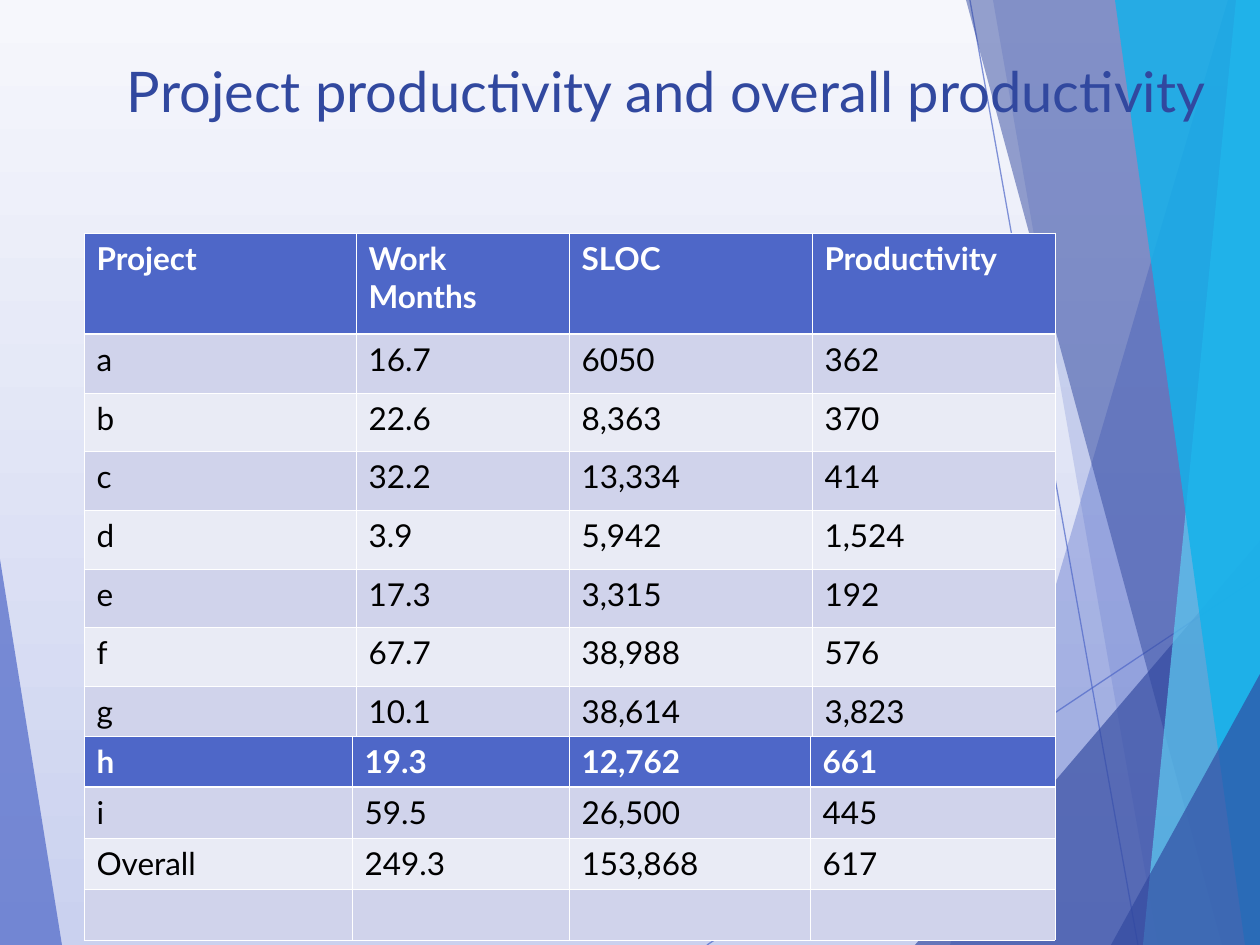
from dataclasses import dataclass

from pptx import Presentation
from pptx.dml.color import RGBColor
from pptx.enum.shapes import MSO_CONNECTOR
from pptx.enum.text import MSO_ANCHOR, MSO_AUTO_SIZE, PP_ALIGN
from pptx.oxml.ns import qn
from pptx.oxml.xmlchemy import OxmlElement
from pptx.util import Pt

SCALE = 914400 / 126
WIDTH, HEIGHT = 1260, 945


@dataclass(frozen=True)
class Theme:
    font: str = "Lato"
    title_size: int = 32
    table_size: int = 18
    blue: str = "4E67C8"
    navy: str = "31489F"
    sky: str = "5ECCF3"
    cyan: str = "12B2EB"
    white: str = "FFFFFF"
    black: str = "000000"
    bands: tuple = ("D0D3EB", "E9EBF5")
    backdrop: tuple = ("F6F7FC", "CAD1EF")
    thin: float = 0.45
    thick: float = 1.47
    ray: float = 0.75


THEME = Theme()

FACETS = [
    ([(0, 559), (62, HEIGHT), (0, HEIGHT)], THEME.blue, 70),
    ([(1228, 0), (950, HEIGHT), (WIDTH, HEIGHT), (WIDTH, 0)], THEME.blue, 36),
    ([(993, 0), (1158, HEIGHT), (WIDTH, HEIGHT), (WIDTH, 0)], THEME.blue, 20),
    ([(915, HEIGHT), (WIDTH, 541), (WIDTH, HEIGHT)], THEME.navy, 66),
    ([(966, 0), (1222, HEIGHT), (WIDTH, HEIGHT), (WIDTH, 0)], THEME.navy, 50),
    ([(1236, 0), (1143, HEIGHT), (WIDTH, HEIGHT), (WIDTH, 0)], THEME.sky, 70),
    ([(1115, 0), (1245, HEIGHT), (WIDTH, HEIGHT), (WIDTH, 0)], THEME.cyan, 82),
    ([(1111, HEIGHT), (WIDTH, 674), (WIDTH, HEIGHT)], THEME.navy, 66),
]
RAYS = [(707, HEIGHT, WIDTH, 576), (970, 0, 1138, HEIGHT)]

PROJECTS = [
    ("Project", "Work Months", "SLOC", "Productivity"),
    ("a", "16.7", "6050", "362"),
    ("b", "22.6", "8,363", "370"),
    ("c", "32.2", "13,334", "414"),
    ("d", "3.9", "5,942", "1,524"),
    ("e", "17.3", "3,315", "192"),
    ("f", "67.7", "38,988", "576"),
    ("g", "10.1", "38,614", "3,823"),
]
TOTALS = [
    ("h", "19.3", "12,762", "661"),
    ("i", "59.5", "26,500", "445"),
    ("Overall", "249.3", "153,868", "617"),
    ("", "", "", ""),
]


def px(length):
    return round(length * SCALE)


def rgb(value):
    return RGBColor.from_string(value)


def set_format(target, values):
    for name, value in values.items():
        setattr(target, name, value)


def write(paragraph, text, size, color, bold=False):
    span = paragraph.add_run()
    span.text = text
    set_format(span.font, {"name": THEME.font, "size": Pt(size), "bold": bold})
    span.font.color.rgb = rgb(color)


def set_opacity(shape, percent):
    alpha = OxmlElement("a:alpha")
    alpha.set("val", str(percent * 1000))
    shape.element.spPr.find(".//" + qn("a:srgbClr")).append(alpha)


def paint_background(page):
    fill = page.background.fill
    fill.gradient()
    fill.gradient_angle = 270
    for stop, position, color in zip(fill.gradient_stops, (0, 1), THEME.backdrop):
        stop.position = position
        stop.color.rgb = rgb(color)


def add_facet(page, points, color, opacity):
    builder = page.shapes.build_freeform(*points[0], scale=SCALE)
    builder.add_line_segments(points[1:], close=True)
    facet = builder.convert_to_shape()
    facet.shadow.inherit = False
    facet.fill.solid()
    facet.fill.fore_color.rgb = rgb(color)
    facet.line.fill.background()
    set_opacity(facet, opacity)


def add_ray(page, ends):
    ray = page.shapes.add_connector(MSO_CONNECTOR.STRAIGHT, *map(px, ends))
    ray.line.width = Pt(THEME.ray)
    ray.line.color.rgb = rgb(THEME.blue)
    set_opacity(ray, 70)
    ray.element.spPr.append(OxmlElement("a:effectLst"))


def place_title(page, text):
    title = page.shapes.title
    set_format(title, {"left": px(84), "top": px(50), "width": px(1153), "height": px(159)})
    set_format(title.text_frame, {
        "word_wrap": True,
        "auto_size": MSO_AUTO_SIZE.NONE,
        "vertical_anchor": MSO_ANCHOR.TOP,
        "margin_left": px(25),
    })
    paragraph = title.text_frame.paragraphs[0]
    paragraph.alignment = PP_ALIGN.CENTER
    write(paragraph, text, THEME.title_size, THEME.navy)
    title.element.getparent().append(title.element)


def add_border(cell, side, width):
    line = OxmlElement(f"a:ln{side}")
    line.set("w", str(Pt(width)))
    fill = OxmlElement("a:solidFill")
    color = OxmlElement("a:srgbClr")
    color.set("val", THEME.white)
    fill.append(color)
    line.append(fill)
    cell._tc.get_or_add_tcPr().append(line)


def format_cell(cell, text, row):
    header = row == 0
    widths = {
        "L": THEME.thin,
        "R": THEME.thin,
        "T": THEME.thick if row == 1 else THEME.thin,
        "B": THEME.thick if header else THEME.thin,
    }
    for side, width in widths.items():
        add_border(cell, side, width)
    cell.fill.solid()
    cell.fill.fore_color.rgb = rgb(THEME.blue if header else THEME.bands[(row - 1) % 2])
    color = THEME.white if header else THEME.black
    write(cell.text_frame.paragraphs[0], text, THEME.table_size, color, header)


def add_grid(page, top, columns, heights, records):
    frame = page.shapes.add_table(
        len(heights), len(columns), px(84), px(top), px(sum(columns)), px(sum(heights)))
    table = frame.table
    table.horz_banding = False
    for column, width in zip(table.columns, columns):
        column.width = px(width)
    for row, height in zip(table.rows, heights):
        row.height = px(height)
    for row, record in enumerate(records):
        for column, text in enumerate(record):
            format_cell(table.cell(row, column), text, row)


def main():
    deck = Presentation()
    set_format(deck, {"slide_width": px(WIDTH), "slide_height": px(HEIGHT)})
    page = deck.slides.add_slide(deck.slide_layouts[5])
    paint_background(page)
    add_facet(page, *FACETS[0])
    for ends in RAYS:
        add_ray(page, ends)
    for facet in FACETS[1:]:
        add_facet(page, *facet)
    place_title(page, "Project productivity and overall productivity")
    add_grid(page, 233, (272, 213, 243, 243), (101, 59, 58, 59, 59, 58, 59, 59), PROJECTS)
    add_grid(page, 736, (268, 217, 241, 245), (51,) * 4, TOTALS)
    deck.save("out.pptx")


if __name__ == "__main__":
    main()
